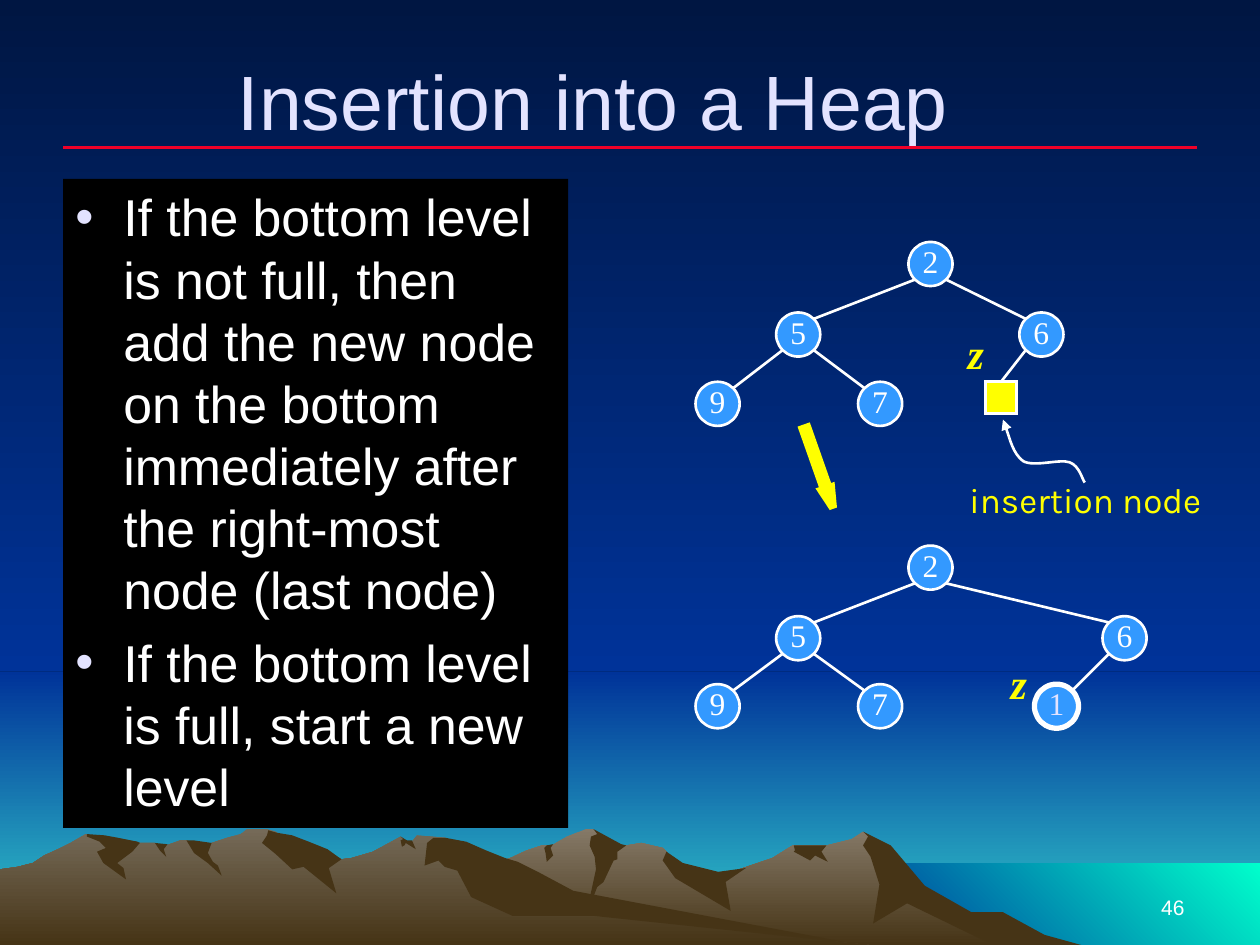
from lxml.etree import SubElement
from pptx import Presentation
from pptx.dml.color import RGBColor
from pptx.enum.shapes import MSO_CONNECTOR, MSO_SHAPE as SHAPE
from pptx.enum.text import MSO_ANCHOR as ANCHOR, MSO_AUTO_SIZE as AUTO_SIZE, PP_ALIGN as ALIGN
from pptx.oxml.ns import qn
from pptx.util import Emu, Pt

PX = 9144  # EMU per px, 100 px to the inch
NODE = 35
INSET = 5  # from a node's bounding box to its outline on the diagonal

COLORS = {
    "night": "001642", "blue": "003399", "horizon": "33CCCC", "sea": "00FFCC",
    "rock": "463416", "far_rock": "857967", "near_rock": "756A58",
    "rule": "EF0129", "pale": "E3E3FF", "white": "FFFFFF", "black": "000000",
    "node": "3399FF", "yellow": "FFFF00",
}

FAR_RANGE = [
    (802, 740), (778, 727), (764, 723), (723, 698), (702, 671), (685, 660), (676, 666),
    (656, 671), (629, 671), (613, 681), (566, 697), (536, 690), (529, 676), (526, 673),
    (509, 669), (497, 671), (486, 673), (474, 661), (471, 658), (465, 658), (450, 664),
    (438, 671), (430, 671), (418, 675), (405, 681), (394, 685), (355, 698), (327, 709),
    (277, 739), (258, 750), (820, 750)]
FAR_SHADES = [
    [(796, 724), (771, 724), (734, 703), (707, 671), (685, 660), (689, 664), (685, 671),
     (691, 680), (698, 702), (693, 733), (720, 717), (788, 750), (858, 750), (829, 742)],
    [(471, 658), (474, 662), (469, 664), (468, 671), (472, 680), (473, 690), (465, 727),
     (474, 704), (479, 700), (487, 683), (490, 682), (490, 676), (497, 671), (493, 670)],
    [(529, 676), (526, 683), (536, 697), (580, 723), (576, 700), (592, 689), (570, 692),
     (542, 685)],
    [(650, 671), (630, 671), (631, 675), (630, 676), (643, 683), (647, 679), (657, 684),
     (652, 676), (656, 671)],
    [(433, 677), (432, 673), (434, 671), (439, 670), (437, 673), (439, 679), (434, 684)],
]
NEAR_RANGE = [
    (690, 750), (667, 748), (432, 712), (354, 665), (331, 663), (327, 668), (323, 668),
    (318, 664), (296, 676), (279, 681), (271, 682), (260, 676), (236, 681), (223, 663),
    (219, 660), (212, 658), (196, 658), (191, 662), (180, 665), (168, 669), (160, 671),
    (148, 667), (143, 667), (132, 671), (128, 671), (123, 669), (111, 669), (94, 671),
    (68, 662), (56, 669), (46, 674), (35, 679), (26, 685), (14, 688), (0, 690), (0, 750)]
NEAR_SHADES = [
    [(212, 663), (208, 669), (219, 678), (232, 690), (241, 688), (267, 709), (261, 689),
     (271, 682), (260, 674), (245, 668), (232, 663), (220, 661), (213, 659)],
    [(370, 668), (354, 665), (344, 665), (339, 669), (337, 687), (348, 683), (353, 688),
     (363, 691), (374, 712), (407, 727), (472, 727), (690, 750), (683, 750), (455, 707),
     (427, 692), (411, 684), (401, 681), (386, 675)],
    [(318, 667), (320, 666), (318, 664), (323, 667), (327, 667), (330, 674), (322, 669),
     (321, 671), (319, 672)],
    [(154, 667), (168, 669), (165, 677), (169, 684), (173, 687), (176, 695), (165, 685),
     (154, 677), (148, 667)],
    [(133, 670), (130, 674), (132, 680), (127, 675), (123, 669)],
    [(109, 668), (111, 669), (105, 676), (93, 685), (98, 689), (100, 698), (82, 685),
     (77, 676), (84, 673), (79, 668), (69, 664), (69, 662), (83, 663), (94, 665)],
]

POINTER = [(861, 383), (859, 381), (857, 370), (849, 367), (841, 364), (821, 371),
           (812, 366), (804, 360), (799, 340), (796, 333)]

# Node positions by label, then (parent, child) edges
TREE_BEFORE = {"2": (721, 192), "6": (809, 248), "5": (616, 248), "7": (681, 303), "9": (552, 303)}
TREE_AFTER = {"2": (721, 433), "6": (875, 489), "5": (616, 489), "7": (681, 543), "9": (552, 543),
              "1": (821, 543)}
EDGES = [("2", "5"), ("2", "6"), ("5", "9"), ("5", "7")]

BULLETS = [
    "If the bottom level is not full, then add the new node on the bottom immediately "
    "after the right-most node (last node)",
    "If the bottom level is full, start a new level",
]


def px(*lengths):
    return [Emu(length * PX) for length in lengths]


def rgb(name):
    return RGBColor.from_string(COLORS[name])


def paint(fill, *names, angle=90):
    """Fill with one colour, or with a gradient that turns clockwise by angle."""
    if len(names) == 1:
        fill.solid()
        fill.fore_color.rgb = rgb(names[0])
        return
    fill.gradient()
    fill.gradient_angle = -angle % 360
    for stop, name in zip(fill.gradient_stops, names):
        stop.color.rgb = rgb(name)


def set_line(line, name, width=1.5):
    line.color.rgb = rgb(name)
    line.width = Pt(width)


def add_box(slide, kind, box, *fills, line=None, width=1.5, angle=90):
    shape = slide.shapes.add_shape(kind, *px(*box))
    shape.shadow.inherit = False
    paint(shape.fill, *fills, angle=angle)
    if line:
        set_line(shape.line, line, width)
        SubElement(shape._element.spPr.find(qn("a:ln")), qn("a:miter"), lim="800000")
    else:
        shape.line.fill.background()
    return shape


def add_outline(slide, points, close=True):
    builder = slide.shapes.build_freeform(*points[0], scale=PX)
    builder.add_line_segments(points[1:], close=close)
    shape = builder.convert_to_shape()
    shape.shadow.inherit = False
    return shape


def add_rock(slide, points, *fills):
    rock = add_outline(slide, points)
    paint(rock.fill, *fills)
    rock.line.fill.background()


def add_line(slide, start, end, name="white"):
    line = slide.shapes.add_connector(MSO_CONNECTOR.STRAIGHT, *px(*start, *end))
    set_line(line.line, name)
    SubElement(line._element.spPr, qn("a:effectLst"))
    return line


def format_text(paragraph, size, name, font="Arial", align=ALIGN.CENTER, bold=None, italic=None):
    paragraph.alignment = align
    for run in paragraph.runs:
        run.font.size, run.font.name = Pt(size), font
        run.font.bold, run.font.italic = bold, italic
        run.font.color.rgb = rgb(name)


def add_text(slide, box, text, size, name, anchor=ANCHOR.TOP, wrap=True, **style):
    frame = slide.shapes.add_textbox(*px(*box)).text_frame
    frame.word_wrap = wrap
    frame.auto_size = AUTO_SIZE.NONE if wrap else AUTO_SIZE.SHAPE_TO_FIT_TEXT
    frame.vertical_anchor = anchor
    frame.text = text
    format_text(frame.paragraphs[0], size, name, **style)


def add_bullets(slide, box, texts):
    frame = add_box(slide, SHAPE.RECTANGLE, box, "black").text_frame
    frame.word_wrap = True
    frame.vertical_anchor = ANCHOR.TOP
    frame.text = "\n".join(texts)
    for index, paragraph in enumerate(frame.paragraphs):
        properties = paragraph._p.get_or_add_pPr()
        properties.set("marL", str(38 * PX))
        properties.set("indent", str(-38 * PX))
        color = SubElement(properties, qn("a:buClr"))
        SubElement(color, qn("a:srgbClr"), val=COLORS["pale"])
        SubElement(properties, qn("a:buFont"), typeface="Arial")
        SubElement(properties, qn("a:buChar"), char="•")
        paragraph.space_before = Pt(6 if index else 0)
        format_text(paragraph, 29.6, "white", align=ALIGN.LEFT)


def add_node(slide, label, position, name="white", width=1.5):
    node = add_box(slide, SHAPE.OVAL, (*position, NODE, NODE), "node", line="white", width=width)
    frame = node.text_frame
    frame.margin_left = frame.margin_top = frame.margin_right = 0
    frame.margin_bottom = Emu(5 * PX)
    frame.word_wrap = False
    frame.vertical_anchor = ANCHOR.MIDDLE
    frame.text = label
    format_text(frame.paragraphs[0], 18, name, font="Times New Roman")


def corner(position, right, bottom):
    """Point on a node's outline along one diagonal."""
    left, top = position
    far = NODE - INSET
    return left + (far if right else INSET), top + (far if bottom else INSET)


def add_tree(slide, nodes, edges, new_node=None):
    for label, position in nodes.items():
        style = ("pale", 3) if label == new_node else ()
        add_node(slide, label, position, *style)
    for parent, child in edges:
        right = nodes[child][0] > nodes[parent][0]
        add_line(slide, corner(nodes[parent], right, True), corner(nodes[child], not right, False))


def add_curved_arrow(slide, points):
    """Bezier curve with an arrowhead; each three points after the first make a segment."""
    curve = add_outline(slide, points, close=False)
    curve.fill.background()
    set_line(curve.line, "white")
    SubElement(curve._element.spPr.find(qn("a:ln")), qn("a:tailEnd"), type="triangle")
    outline = curve._element.xpath(".//a:path")[0]
    segments = outline.findall(qn("a:lnTo"))
    for start in range(0, len(segments), 3):
        cubic = SubElement(outline, qn("a:cubicBezTo"))
        for segment in segments[start:start + 3]:
            cubic.append(segment[0])
            outline.remove(segment)


def add_landscape(slide):
    paint(slide.background.fill, "night", "blue")
    add_box(slide, SHAPE.RECTANGLE, (0, 533, 1000, 217), "blue", "horizon")
    add_box(slide, SHAPE.RECTANGLE, (0, 0, 1000, 533), "night", "blue")
    add_box(slide, SHAPE.RECTANGLE, (683, 685, 317, 65), "blue", "sea", angle=315)
    for outline, top, shades in ((FAR_RANGE, "far_rock", FAR_SHADES),
                                 (NEAR_RANGE, "near_rock", NEAR_SHADES)):
        add_rock(slide, outline, top, "rock")
        for shade in shades:
            add_rock(slide, shade, "rock")


def main():
    presentation = Presentation()
    presentation.slide_width, presentation.slide_height = px(1000, 750)
    slide = presentation.slides.add_slide(presentation.slide_layouts[6])
    add_landscape(slide)
    add_line(slide, (50, 117), (950, 117), "rule")
    add_text(slide, (717, 683, 233, 52), "46", 12, "white", ANCHOR.BOTTOM, align=ALIGN.RIGHT)
    add_text(slide, (50, 30, 842, 98), "Insertion into a Heap", 44, "pale", ANCHOR.MIDDLE)
    add_bullets(slide, (50, 142, 401, 515), BULLETS)

    add_tree(slide, TREE_BEFORE, EDGES)
    slot = add_box(slide, SHAPE.RECTANGLE, (782, 303, 25, 25), "yellow", line="white")
    slot_edge = add_line(slide, corner(TREE_BEFORE["6"], False, True), (795, 303))
    slot_edge.end_connect(slot, 0)
    add_curved_arrow(slide, POINTER)
    add_text(slide, (750, 375, 223, 44), "insertion node", 20, "yellow", wrap=False, font="Karla")
    add_tree(slide, TREE_AFTER, EDGES + [("6", "1")], new_node="1")
    for left, top in ((758, 255), (792, 517)):
        add_text(slide, (left, top, 33, 50), "z", 24, "yellow", wrap=False,
                 font="Times New Roman", bold=True, italic=True)

    arrow = add_box(slide, SHAPE.DOWN_ARROW, (646, 338, 8, 67), "node", line="yellow", width=4.5)
    arrow.adjustments[0], arrow.adjustments[1] = 0.5, 2
    arrow.rotation = 340.6
    presentation.save("out.pptx")


if __name__ == "__main__":
    main()
